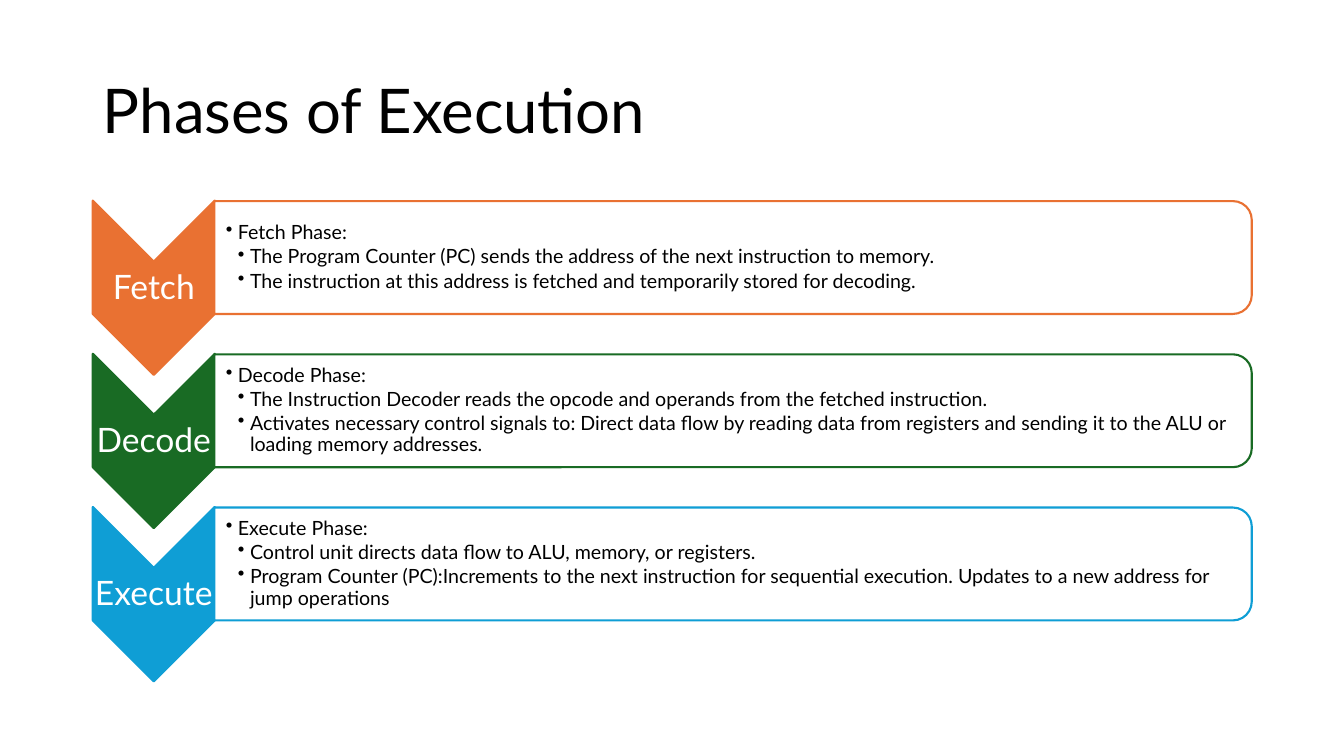
from lxml import etree
from pptx import Presentation
from pptx.dml.color import RGBColor
from pptx.enum import shapes, text
from pptx.oxml import ns
from pptx.util import Emu, Pt

BLACK = RGBColor(0x00, 0x00, 0x00)
WHITE = RGBColor(0xFF, 0xFF, 0xFF)
ORANGE = RGBColor(0xE9, 0x71, 0x32)
GREEN = RGBColor(0x19, 0x6B, 0x24)
BLUE = RGBColor(0x0F, 0x9E, 0xD5)

PHASES = [
    ("Fetch", ORANGE, [
        "Fetch Phase:",
        "The Program Counter (PC) sends the address of the next instruction to memory.",
        "The instruction at this address is fetched and temporarily stored for decoding.",
    ]),
    ("Decode", GREEN, [
        "Decode Phase:",
        "The Instruction Decoder reads the opcode and operands from the fetched instruction.",
        "Activates necessary control signals to: Direct data flow by reading data from "
        "registers and sending it to the ALU or loading memory addresses.",
    ]),
    ("Execute", BLUE, [
        "Execute Phase:",
        "Control unit directs data flow to ALU, memory, or registers.",
        "Program Counter (PC):Increments to the next instruction for sequential execution. "
        "Updates to a new address for jump operations",
    ]),
]
FIRST_TOP, ROW_STEP = 199, 152


def px(length):
    """Turn px, at 100 to the inch, into EMU."""
    return Emu(length * 9144)


class SlideBuilder:
    font_name = "Lato"
    line_spacing = 0.9
    indent = 12

    def __init__(self, presentation):
        self.slide = presentation.slides.add_slide(presentation.slide_layouts[5])

    def style(self, paragraph, size, color, alignment):
        paragraph.alignment = alignment
        paragraph.line_spacing = self.line_spacing
        for run in paragraph.runs:
            run.font.name = self.font_name
            run.font.size = Pt(size)
            run.font.color.rgb = color

    def title(self, wording, left, top, width, height):
        title = self.slide.shapes.title
        title.left, title.top = px(left), px(top)
        title.width, title.height = px(width), px(height)
        title.text_frame.text = wording
        title.text_frame.vertical_anchor = text.MSO_ANCHOR.MIDDLE
        self.style(title.text_frame.paragraphs[0], 44, BLACK, text.PP_ALIGN.LEFT)

    def turned_shape(self, kind, left, top, width, height, fill, line):
        """Add a shape turned by 90 degrees that covers the given box."""
        shift = (width - height) // 2
        shape = self.slide.shapes.add_shape(
            kind, px(left + shift), px(top - shift), px(height), px(width))
        shape.rotation = 90
        shape.shadow.inherit = False
        shape.fill.solid()
        shape.fill.fore_color.rgb = fill
        shape.line.color.rgb = line
        shape.line.width = Pt(1.5)

    def text_box(self, wording, left, top, width, height, inset, left_inset):
        box = self.slide.shapes.add_textbox(px(left), px(top), px(width), px(height))
        frame = box.text_frame
        frame.word_wrap = True
        frame.vertical_anchor = text.MSO_ANCHOR.MIDDLE
        frame.margin_left = px(left_inset)
        frame.margin_top = frame.margin_right = frame.margin_bottom = px(inset)
        frame.text = wording
        return frame

    def label(self, wording, left, top, width, height):
        frame = self.text_box(wording, left, top, width, height, 2, 2)
        self.style(frame.paragraphs[0], 24, WHITE, text.PP_ALIGN.CENTER)

    def bullets(self, items, left, top, width, height):
        """Add a list whose first item is the parent of the others."""
        frame = self.text_box("\n".join(items), left, top, width, height, 1, 11)
        for index, paragraph in enumerate(frame.paragraphs):
            level = min(index, 1)
            paragraph.level = level
            paragraph.space_after = Pt(2.1)
            self.style(paragraph, 14, BLACK, text.PP_ALIGN.LEFT)
            properties = paragraph._p.get_or_add_pPr()
            properties.set("marL", str(px(self.indent * (level + 1))))
            properties.set("indent", str(px(-self.indent)))
            etree.SubElement(properties, ns.qn("a:buChar")).set("char", "•")

    def phase(self, name, color, items, top):
        self.turned_shape(shapes.MSO_SHAPE.CHEVRON, 92, top, 121, 173, color, color)
        self.label(name, 92, top + 61, 121, 52)
        self.turned_shape(shapes.MSO_SHAPE.ROUND_2_SAME_RECTANGLE,
                          213, top, 1029, 112, WHITE, color)
        self.bullets(items, 213, top + 6, 1024, 101)


def main():
    presentation = Presentation()
    presentation.slide_width, presentation.slide_height = px(1333), px(750)
    builder = SlideBuilder(presentation)
    builder.title("Phases of Execution", 92, 40, 1150, 145)
    for row, (name, color, items) in enumerate(PHASES):
        builder.phase(name, color, items, FIRST_TOP + row * ROW_STEP)
    presentation.save("out.pptx")


if __name__ == "__main__":
    main()
